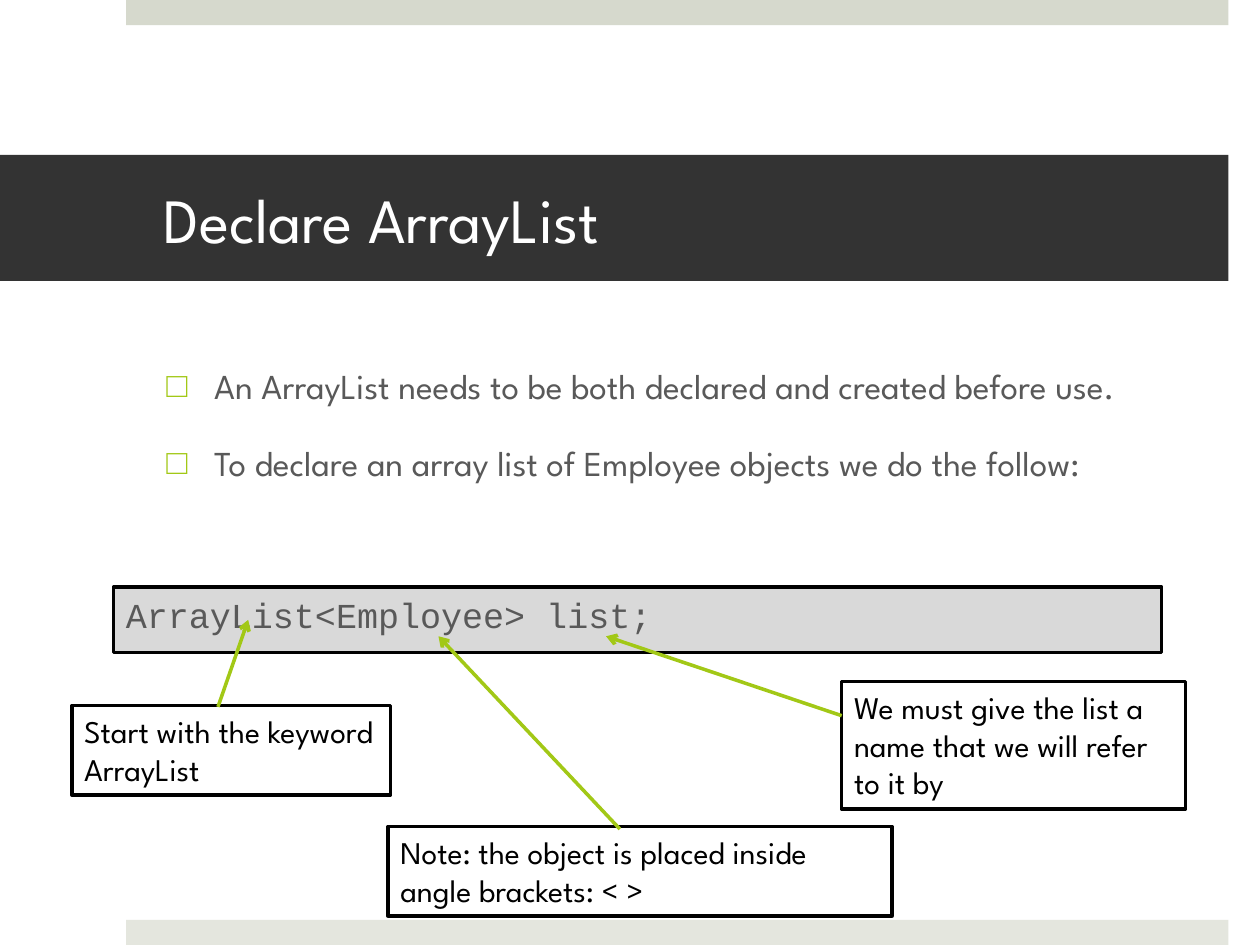
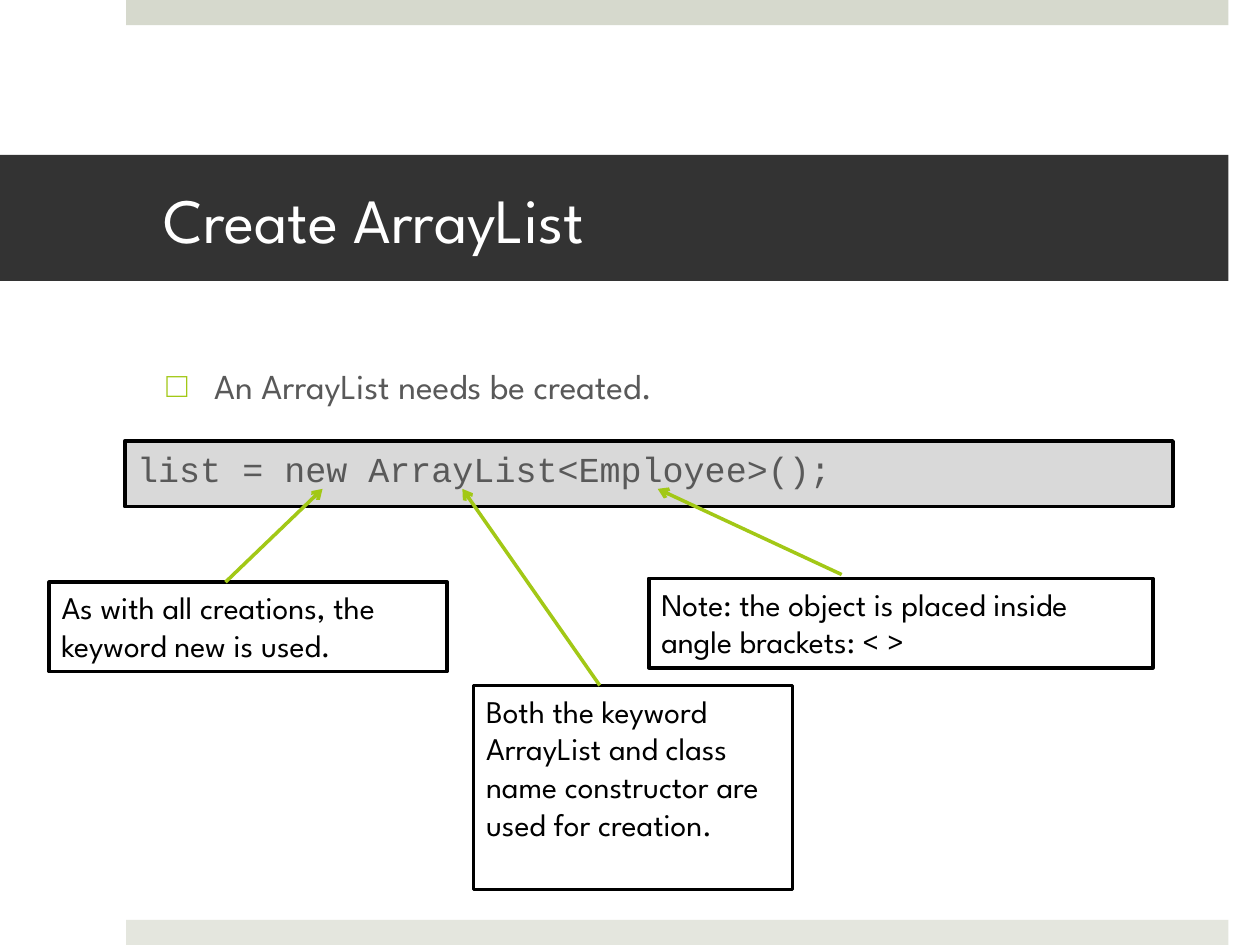
import dataclasses

import pptx
import pptx.dml.color
import pptx.enum.shapes
import pptx.enum.text
import pptx.oxml
import pptx.oxml.ns
import pptx.util
from lxml import etree


@dataclasses.dataclass(frozen=True)
class Theme:
    top_band: str = "D6D9CD"
    bottom_band: str = "E4E6DE"
    title_band: str = "333333"
    code_fill: str = "D9D9D9"
    paper: str = "FFFFFF"
    ink: str = "000000"
    body_ink: str = "595959"
    accent: str = "A2C816"
    text_font: str = "League Spartan"
    code_font: str = "Courier New"
    title_size: int = 36
    body_size: int = 20
    callout_size: int = 18
    line_width: int = 2


theme = Theme()
rgb = pptx.dml.color.RGBColor.from_string
qn = pptx.oxml.ns.qn
RECTANGLE = pptx.enum.shapes.MSO_SHAPE.RECTANGLE

deck = pptx.Presentation()
deck.slide_width = pptx.util.Inches(10)
deck.slide_height = pptx.util.Inches(7.5)

# Grid of 100 columns by 75 rows; all places below count its cells
COLUMN = deck.slide_width / 100
ROW = deck.slide_height / 75


def grid(*cells):
    """Turn alternating column and row counts into slide lengths."""
    return [round(cell * (ROW if i % 2 else COLUMN)) for i, cell in enumerate(cells)]


def style_box(shape, fill, outline=None, font=None, size=None, ink=None):
    shape.fill.solid()
    shape.fill.fore_color.rgb = rgb(fill)
    shape.shadow.inherit = False
    if outline:
        shape.line.color.rgb = rgb(outline)
        shape.line.width = pptx.util.Pt(theme.line_width)
    else:
        shape.line.fill.background()
    frame = shape.text_frame
    frame.word_wrap = True
    frame.auto_size = pptx.enum.text.MSO_AUTO_SIZE.NONE
    frame.vertical_anchor = pptx.enum.text.MSO_ANCHOR.TOP
    for para in frame.paragraphs:
        para.alignment = pptx.enum.text.PP_ALIGN.LEFT
        for span in para.runs:
            span.font.name = font
            span.font.size = pptx.util.Pt(size)
            span.font.color.rgb = rgb(ink)


BANDS = [(0, theme.top_band), (73, theme.bottom_band)]
ANGLE_NOTE = "Note: the object is placed inside angle brackets: < >"

# Each callout: text, box, arrow start, arrow tip
LESSONS = [
    {
        "title": "Declare ArrayList",
        "points": [
            "An ArrayList needs to be both declared and created before use.",
            "To declare an array list of Employee objects we do the follow:",
        ],
        "code": "ArrayList<Employee> list;",
        "code_at": (9, 46.6),
        "callouts": [
            (ANGLE_NOTE, (30.8, 65.6, 40, 7.1), (49.2, 65.8), (34.8, 50.5)),
            ("We must give the list a name that we will refer to it by",
             (66.8, 54.1, 27.3, 10.1), (66.8, 56.8), (48.1, 50.5)),
            ("Start with the keyword ArrayList",
             (5.7, 56, 25.3, 7.1), (17.3, 56.1), (19.7, 49.2)),
        ],
    },
    {
        "title": "Create ArrayList",
        "points": ["An ArrayList needs be created."],
        "code": "list = new ArrayList<Employee>();",
        "code_at": (9.9, 35),
        "callouts": [
            ("Both the keyword ArrayList and class name constructor are used for creation.",
             (37.6, 54.4, 25.3, 16.2), (47.6, 54.4), (36.7, 38.8)),
            (ANGLE_NOTE, (51.5, 45.9, 40, 7.1), (66.8, 45.6), (52.2, 38.8)),
            ("As with all creations, the keyword new is used.",
             (3.9, 46.2, 31.6, 7.1), (17.9, 46.2), (25.6, 38.8)),
        ],
    },
]

for number, lesson in enumerate(LESSONS):
    page = deck.slides.add_slide(deck.slide_layouts[1])

    if number == 0:
        # Bands belong to the master, behind its placeholders
        master_tree = deck.slide_master.element.cSld.spTree
        for index, (row, colour) in enumerate(BANDS):
            band = page.shapes.add_shape(RECTANGLE, *grid(10, row, 87.5, 2))
            style_box(band, colour)
            master_tree.insert(2 + index, band.element)

    title = page.shapes.title
    title.left, title.top, title.width, title.height = grid(0, 12.3, 97.5, 10)
    title.text_frame.text = lesson["title"]
    style_box(title, theme.title_band, None, theme.text_font, theme.title_size, theme.paper)
    title.text_frame.vertical_anchor = pptx.enum.text.MSO_ANCHOR.MIDDLE
    title.text_frame.margin_left, title.text_frame.margin_top = grid(13, 0.5)
    title.text_frame.margin_right, title.text_frame.margin_bottom = grid(3, 0.5)

    body = page.placeholders[1]
    body.left, body.top, body.width, body.height = grid(12.2, 28.4, 83.2, 40.1)
    body.text_frame.text = "\n".join(lesson["points"])
    style_box(body, theme.paper, None, theme.text_font, theme.body_size, theme.body_ink)
    body.fill.background()
    for para in body.text_frame.paragraphs:
        para.space_before = pptx.util.Pt(20)
        props = para._p.get_or_add_pPr()
        indent = grid(3.8)[0]
        props.set("marL", str(indent))
        props.set("indent", str(-indent))
        bullet_colour = etree.SubElement(props, qn("a:buClr"))
        etree.SubElement(bullet_colour, qn("a:srgbClr"), val=theme.accent)
        etree.SubElement(props, qn("a:buChar"), char="□")

    code = page.shapes.add_shape(RECTANGLE, *grid(*lesson["code_at"], 83.2, 5.2))
    code.text_frame.text = lesson["code"]
    style_box(code, theme.code_fill, theme.ink, theme.code_font, theme.body_size, theme.body_ink)

    for text, place, start, tip in lesson["callouts"]:
        callout = page.shapes.add_shape(RECTANGLE, *grid(*place))
        callout.text_frame.text = text
        style_box(callout, theme.paper, theme.ink, theme.text_font, theme.callout_size, theme.ink)

        arrow = page.shapes.add_connector(
            pptx.enum.shapes.MSO_CONNECTOR.STRAIGHT, *grid(*start, *tip))
        arrow.line.color.rgb = rgb(theme.accent)
        arrow.line.width = pptx.util.Pt(theme.line_width)
        etree.SubElement(arrow.line._get_or_add_ln(), qn("a:tailEnd"), type="arrow")
        etree.SubElement(arrow.element.spPr, qn("a:effectLst"))

deck.save("out.pptx")
